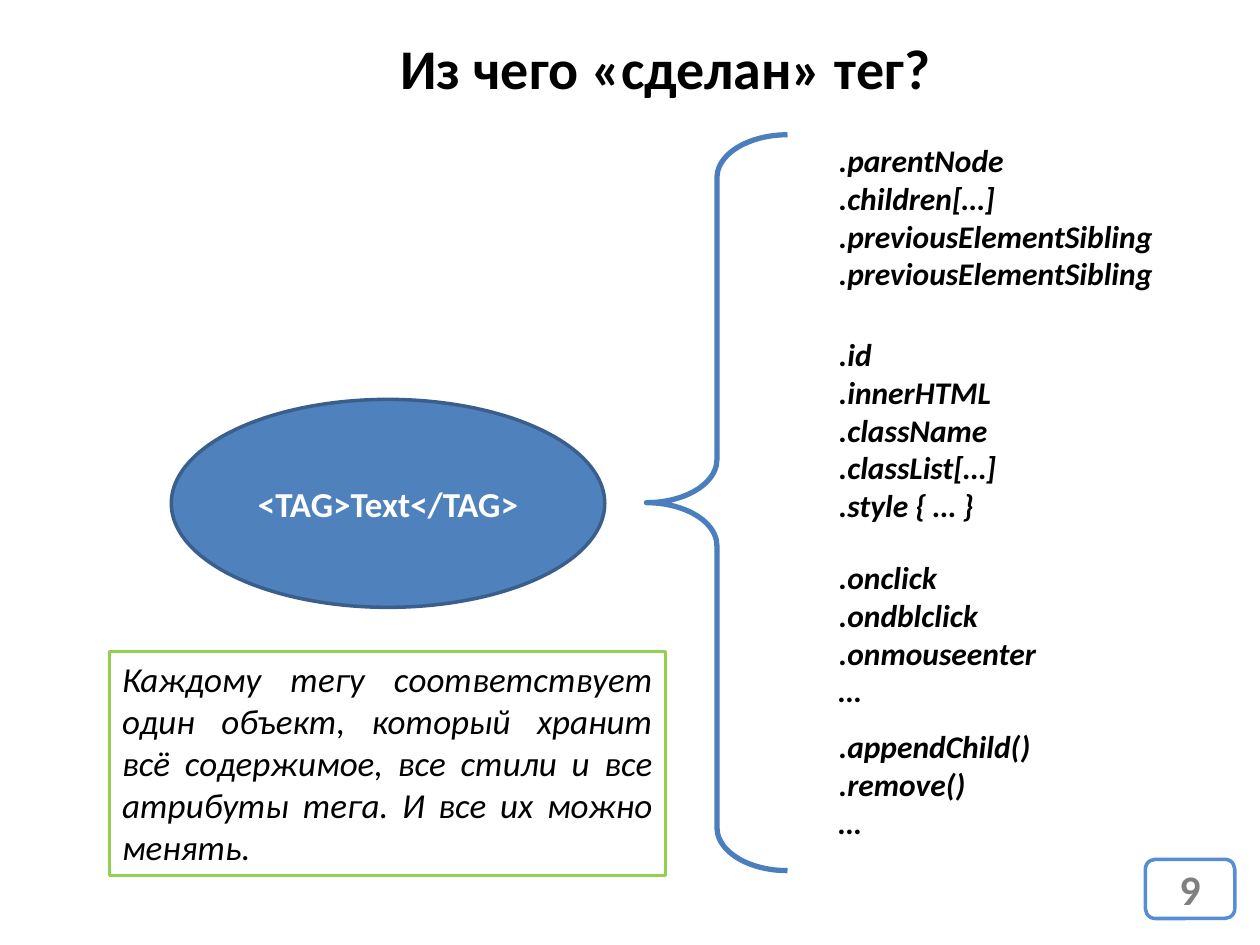
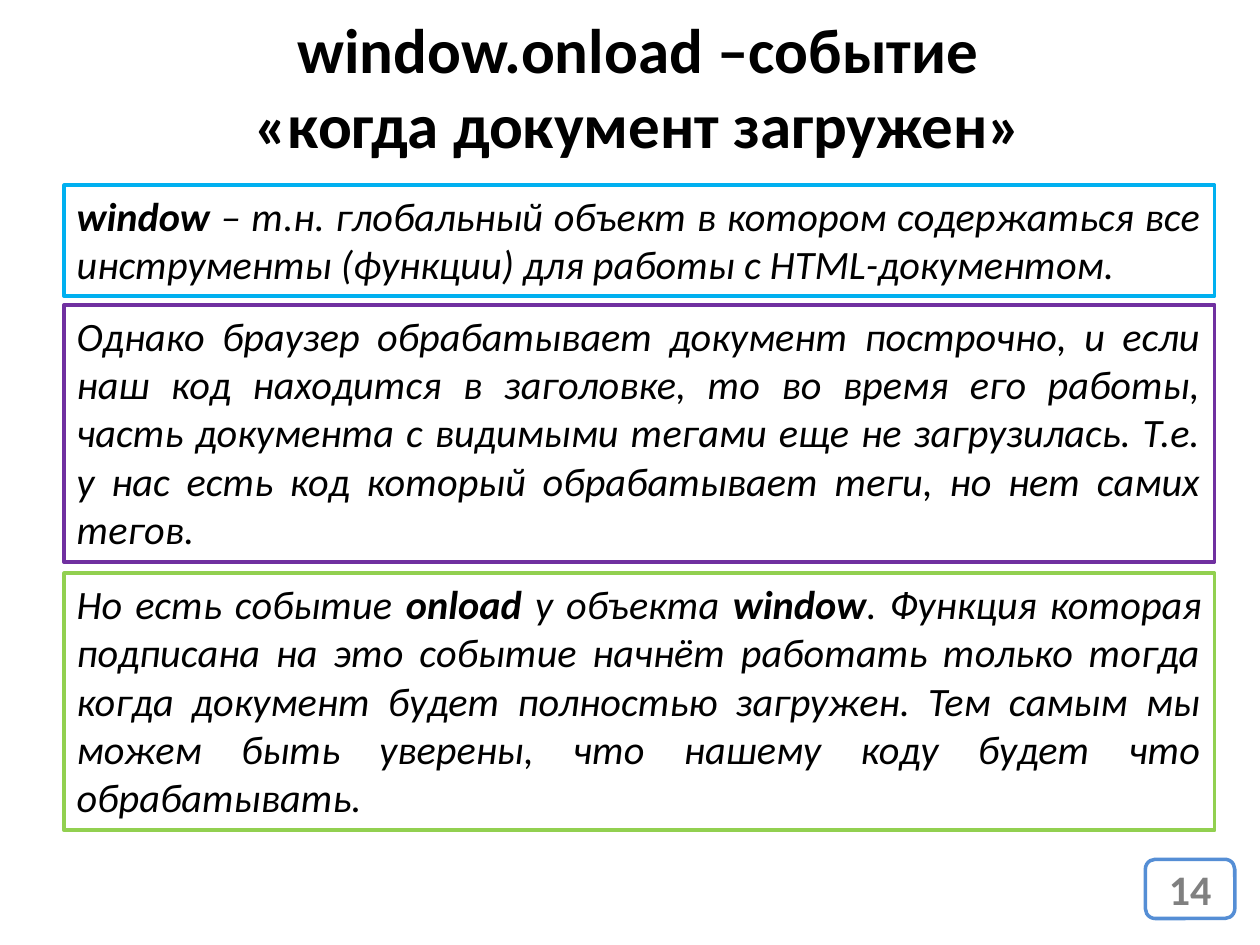
from pptx import Presentation
from pptx.dml.color import RGBColor
from pptx.enum.shapes import MSO_SHAPE
from pptx.enum.text import MSO_ANCHOR, MSO_AUTO_SIZE, PP_ALIGN
from pptx.util import Emu, Pt

SCALE = 9144
FONT = "Calibri"
COLORS = {
    "white": "FFFFFF", "black": "000000", "gray": "808080",
    "blue": "4F81BD", "navy": "3A5F8C", "brace": "4B7EBC",
    "badge": "558ED5", "sky": "00B0F0", "violet": "7030A0",
    "green": "92D050",
}


def px(*sizes):
    return [Emu(size * SCALE) for size in sizes]


def color(name):
    return RGBColor.from_string(COLORS[name])


def write(shape, text, size=18, ink="black", bold=False, italic=False,
          align=PP_ALIGN.LEFT, anchor=MSO_ANCHOR.TOP, wrap=True, grow=False):
    frame = shape.text_frame
    frame.word_wrap = wrap
    frame.vertical_anchor = anchor
    frame.auto_size = MSO_AUTO_SIZE.SHAPE_TO_FIT_TEXT if grow else MSO_AUTO_SIZE.NONE
    for row, line in enumerate(text.split("\n")):
        para = frame.add_paragraph() if row else frame.paragraphs[0]
        para.alignment = align
        for part, words in enumerate(line.split("*")):
            if not words:
                continue
            run = para.add_run()
            run.text = words
            font = run.font
            font.name, font.size = FONT, Pt(size)
            font.bold = bold or part % 2 == 1
            font.italic = italic
            font.color.rgb = color(ink)


class Deck:
    def __init__(self):
        self.file = Presentation()
        self.file.slide_width, self.file.slide_height = px(1000, 750)
        self.slide = None

    def page(self, number):
        self.slide = self.file.slides.add_slide(self.file.slide_layouts[6])
        badge = self.shape(MSO_SHAPE.ROUNDED_RECTANGLE, (909, 682, 71, 47),
                           "badge", 2, "white")
        self.label(badge, str(number), 24, "gray")

    def shape(self, kind, area, line, width, fill=None):
        shape = self.slide.shapes.add_shape(kind, *px(*area))
        shape.shadow.inherit = False
        if fill:
            shape.fill.solid()
            shape.fill.fore_color.rgb = color(fill)
        else:
            shape.fill.background()
        shape.line.color.rgb = color(line)
        shape.line.width = Pt(width)
        return shape

    def label(self, shape, text, size, ink):
        write(shape, text, size=size, ink=ink, bold=True,
              align=PP_ALIGN.CENTER, anchor=MSO_ANCHOR.MIDDLE)

    def text(self, area, text, **style):
        box = self.slide.shapes.add_textbox(*px(*area))
        write(box, text, bold=True, **style)

    def note(self, area, text, line, width=2.25, size=23):
        box = self.shape(MSO_SHAPE.RECTANGLE, area, line, width)
        write(box, text, size=size, italic=True,
              align=PP_ALIGN.JUSTIFY, grow=True)

    def brace(self, area):
        shape = self.shape(MSO_SHAPE.LEFT_BRACE, area, "brace", 3)
        shape.adjustments[0] = 0.305


def tag(deck):
    deck.page(9)
    deck.text((308, 22, 445, 64), "Из чего «сделан» тег?",
              size=32, wrap=False, grow=True)
    oval = deck.shape(MSO_SHAPE.OVAL, (136, 317, 344, 165), "navy", 2, "blue")
    deck.label(oval, "<TAG>Text</TAG>", 20, "white")
    deck.brace((513, 107, 112, 584))
    groups = [
        (107, 277, 131, ".parentNode\n.children[…]\n"
         ".previousElementSibling\n.previousElementSibling"),
        (261, 148, 162, ".id\n.innerHTML\n.className\n.classList[…]\n.style { … }"),
        (438, 178, 131, ".onclick\n.ondblclick\n.onmouseenter\n…"),
        (572, 174, 101, ".appendChild()\n.remove()\n…"),
    ]
    for top, wide, high, names in groups:
        deck.text((656, top, wide, high), names,
                  italic=True, wrap=False, grow=True)
    deck.note((87, 517, 441, 178),
              "Каждому тегу соответствует один объект, который хранит всё "
              "содержимое, все стили и все атрибуты тега. И все их можно менять.",
              "green", width=1.5, size=20)


def onload(deck):
    deck.page(14)
    deck.text((35, -3, 943, 142),
              "window.onload –событие\n«когда документ загружен»",
              size=36, align=PP_ALIGN.CENTER, anchor=MSO_ANCHOR.MIDDLE)
    notes = [
        (147, 88, "sky",
         "*window* – т.н. глобальный объект в котором содержаться все "
         "инструменты (функции) для работы с HTML-документом."),
        (242, 204, "violet",
         "Однако браузер обрабатывает документ построчно, и если наш код "
         "находится в заголовке, то во время его работы, часть документа с "
         "видимыми тегами еще не загрузилась. Т.е. у нас есть код который "
         "обрабатывает теги, но нет самих тегов."),
        (455, 204, "green",
         "Но есть событие *onload* у объекта *window*. Функция которая "
         "подписана на это событие начнёт работать только тогда когда "
         "документ будет полностью загружен. Тем самым мы можем быть "
         "уверены, что нашему коду будет что обрабатывать."),
    ]
    for top, high, line, words in notes:
        deck.note((51, top, 913, high), words, line)


def main():
    deck = Deck()
    tag(deck)
    onload(deck)
    deck.file.save("out.pptx")


if __name__ == "__main__":
    main()
